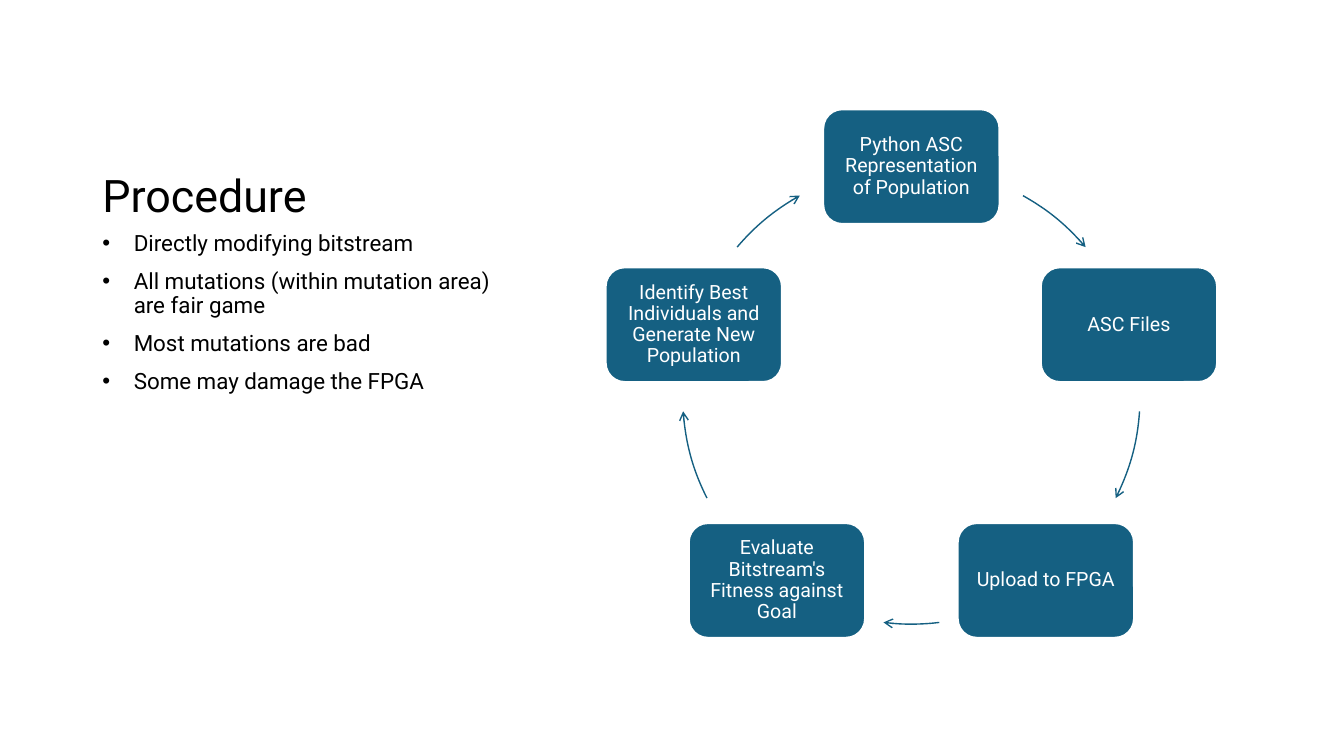
from math import cos, radians, sin

from lxml import etree
from pptx import Presentation
from pptx import util as u
from pptx.dml.color import RGBColor
from pptx.enum import shapes, text
from pptx.oxml import ns

BLUE = RGBColor(0x15, 0x60, 0x82)
WHITE = RGBColor(0xFF, 0xFF, 0xFF)
BLACK = RGBColor(0, 0, 0)
FONT = "Roboto"

CENTER_X, CENTER_Y, RADIUS = 651, 282.4, 163.4
BOX_W, BOX_H = 126, 82
STEPS = [
    "Python ASC Representation of Population",
    "ASC Files",
    "Upload to FPGA",
    "Evaluate Bitstream's Fitness against Goal",
    "Identify Best Individuals and Generate New Population",
]
ARCS = [(299.2, 319.6), (4, 26.7), (83, 97), (153.3, 176), (220.4, 240.8)]
POINTS = [
    "Directly modifying bitstream",
    "All mutations (within mutation area) are fair game",
    "Most mutations are bad",
    "Some may damage the FPGA",
]


def write(p, content, size=16, color=BLACK, align=text.PP_ALIGN.LEFT, before=0):
    p.alignment = align
    p.line_spacing = 0.9
    p.space_before = u.Pt(before)
    r = p.add_run()
    r.text = content
    r.font.name = FONT
    r.font.size = u.Pt(size)
    r.font.color.rgb = color


def add_bullet(p, indent=22.5):
    pPr = p._p.get_or_add_pPr()
    pPr.set("marL", str(u.Pt(indent)))
    pPr.set("indent", str(-u.Pt(indent)))
    etree.SubElement(pPr, ns.qn("a:buFont")).set("typeface", "Arial")
    etree.SubElement(pPr, ns.qn("a:buChar")).set("char", "•")


def add_text_box(slide, left, top, width, height, anchor):
    tf = slide.shapes.add_textbox(*map(u.Pt, (left, top, width, height))).text_frame
    tf.word_wrap = True
    tf.vertical_anchor = anchor
    return tf


def add_bullets(slide, points):
    tf = add_text_box(slide, 66, 162, 309.6, 300, text.MSO_ANCHOR.TOP)
    for i, point in enumerate(points):
        p = tf.add_paragraph() if i else tf.paragraphs[0]
        write(p, point, before=10)
        add_bullet(p)


def add_step(slide, content, angle):
    left = CENTER_X + RADIUS * cos(radians(angle)) - BOX_W / 2
    top = CENTER_Y + RADIUS * sin(radians(angle)) - BOX_H / 2
    sp = slide.shapes.add_shape(
        shapes.MSO_SHAPE.ROUNDED_RECTANGLE, *map(u.Pt, (left, top, BOX_W, BOX_H)))
    sp.shadow.inherit = False
    sp.fill.solid()
    sp.fill.fore_color.rgb = BLUE
    sp.line.color.rgb = WHITE
    sp.line.width = u.Pt(1.5)
    tf = sp.text_frame
    tf.word_wrap = True
    tf.vertical_anchor = text.MSO_ANCHOR.MIDDLE
    tf.margin_left = tf.margin_right = tf.margin_top = tf.margin_bottom = u.Pt(4.2)
    write(tf.paragraphs[0], content, size=14, color=WHITE, align=text.PP_ALIGN.CENTER)


def add_arc_arrow(slide, start, end):
    sp = slide.shapes.add_shape(
        shapes.MSO_SHAPE.ARC,
        u.Pt(CENTER_X - RADIUS), u.Pt(CENTER_Y - RADIUS),
        u.Pt(2 * RADIUS), u.Pt(2 * RADIUS))
    sp.adjustments[0] = start * 0.6
    sp.adjustments[1] = end * 0.6
    sp.shadow.inherit = False
    sp.fill.background()
    sp.line.color.rgb = BLUE
    sp.line.width = u.Pt(1)
    ln = sp.line._get_or_add_ln()
    etree.SubElement(ln, ns.qn("a:tailEnd")).set("type", "arrow")


def main():
    prs = Presentation()
    prs.slide_width, prs.slide_height = u.Pt(960), u.Pt(540)
    slide = prs.slides.add_slide(prs.slide_layouts[6])
    title = add_text_box(slide, 66, 36, 309.6, 126, text.MSO_ANCHOR.BOTTOM)
    write(title.paragraphs[0], "Procedure", size=32)
    for i, (step, arc) in enumerate(zip(STEPS, ARCS)):
        add_step(slide, step, 360 / len(STEPS) * i - 90)
        add_arc_arrow(slide, *arc)
    add_bullets(slide, POINTS)
    prs.save("out.pptx")


if __name__ == "__main__":
    main()
